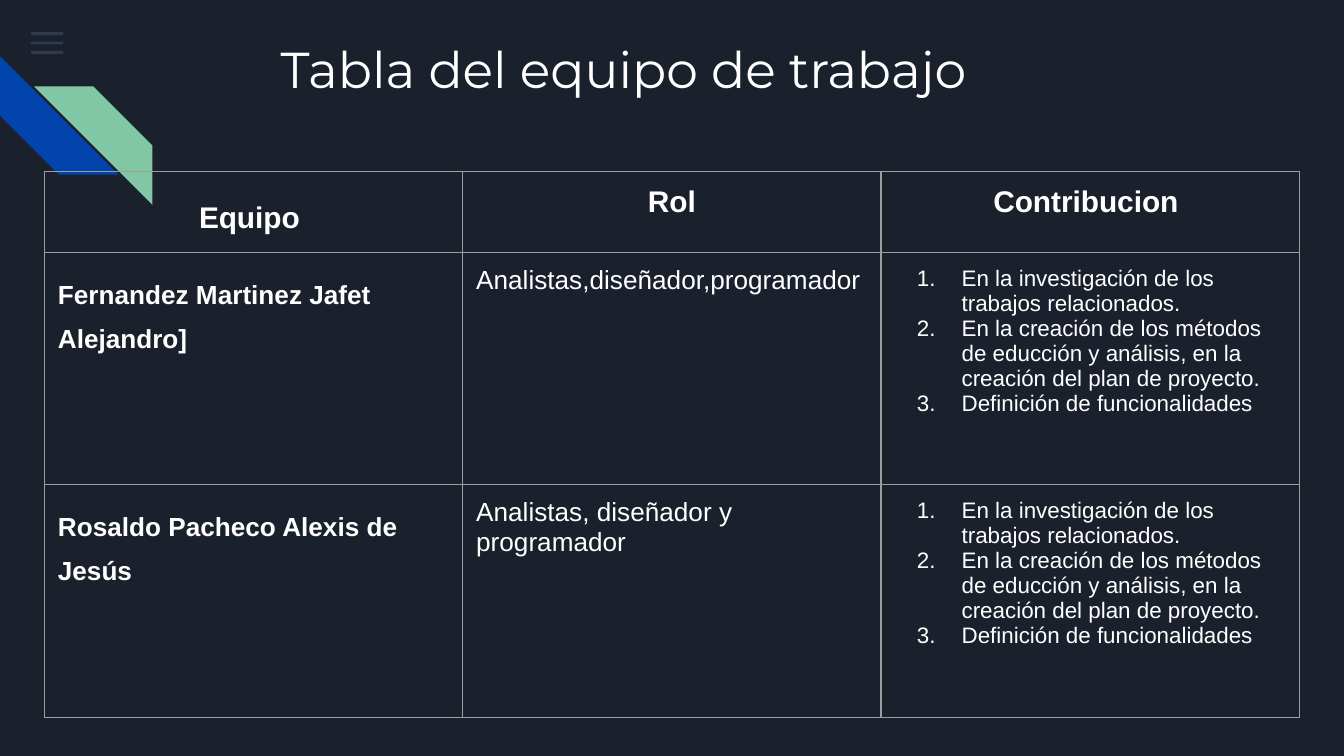
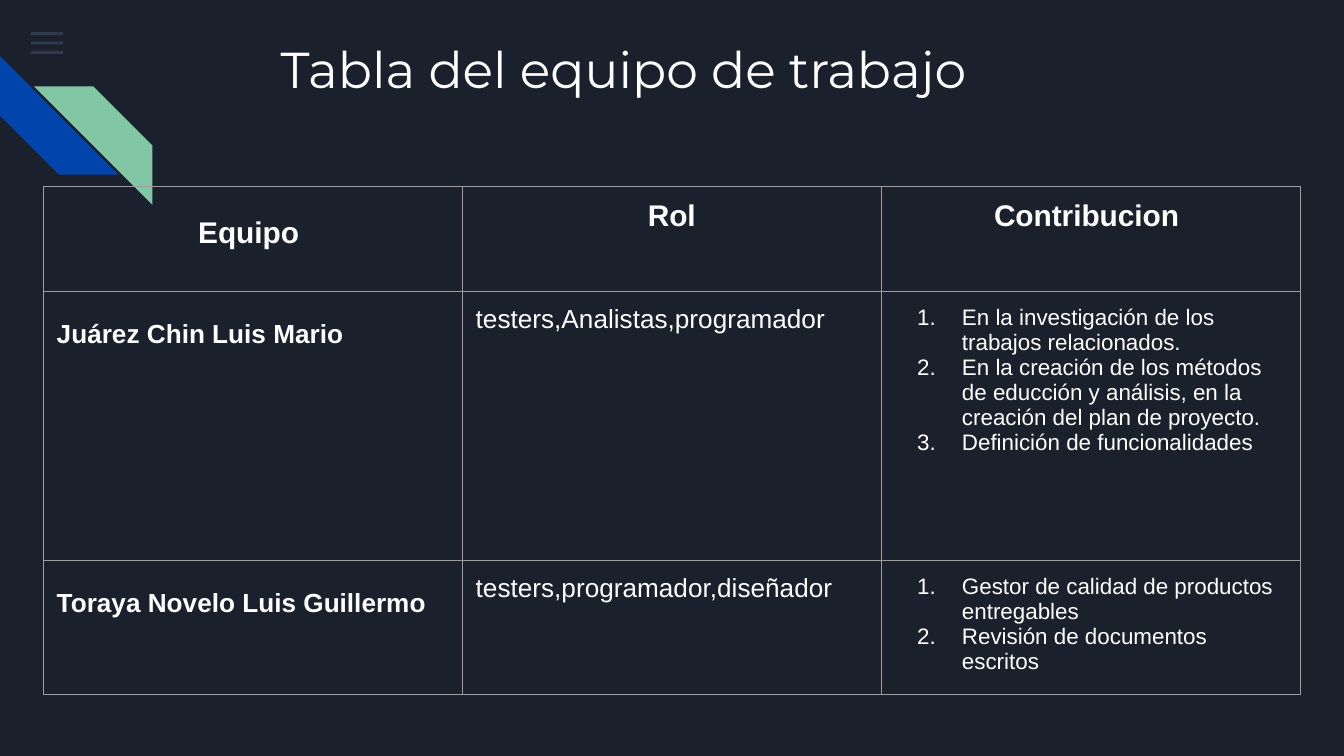
import pptx
import pptx.dml.color
import pptx.enum.shapes
import pptx.enum.text
import pptx.oxml
import pptx.oxml.ns
import pptx.util
from lxml import etree

Pt = pptx.util.Pt
KIND = pptx.enum.shapes.MSO_SHAPE
ALIGN = pptx.enum.text.PP_ALIGN
qn = pptx.oxml.ns.qn

COLORS = {"back": "1B212C", "text": "FFFFFF", "bar": "55688B",
          "blue": "0145AC", "green": "82C7A5", "rule": "9E9E9E"}
INSET = 7.2
TITLE = "Tabla del equipo de trabajo"
HEADS = ["Equipo ", "Rol", "Contribucion "]
TASKS = ["En la investigación de los trabajos relacionados.",
         "En la creación de los métodos de educción y análisis, "
         "en la creación del plan de proyecto.",
         "Definición de funcionalidades"]
CHECKS = ["Gestor de calidad de productos entregables",
          "Revisión de documentos escritos"]


def rgb(name):
    return pptx.dml.color.RGBColor.from_string(COLORS[name])


def add_fill(parent, name):
    """Append a solid fill element and return its colour element."""
    fill = etree.SubElement(parent, qn("a:solidFill"))
    return etree.SubElement(fill, qn("a:srgbClr"), val=COLORS[name])


class Deck:
    def __init__(self):
        self.file = pptx.Presentation()
        self.file.slide_width = Pt(720)
        self.file.slide_height = Pt(405)
        self.slide = None

    def start(self):
        """Add a slide with the shared background and corner art."""
        self.slide = self.file.slides.add_slide(self.file.slide_layouts[6])
        fill = self.slide.background.fill
        fill.solid()
        fill.fore_color.rgb = rgb("back")
        for row in range(3):
            bar = self.shape(KIND.RECTANGLE, 16.6, 17.3 + 5 * row, 17.3, 1.6, "bar")
            color = bar.fill._xPr.find(".//" + qn("a:srgbClr"))
            etree.SubElement(color, qn("a:alpha"), val="36000")
        self.stripe(0, 30.1, "blue").rotation = 270
        green = self.stripe(18.2, 46.3, "green")
        green._element.spPr.xfrm.set("flipH", "1")

    def shape(self, kind, x, y, w, h, color):
        item = self.slide.shapes.add_shape(kind, Pt(x), Pt(y), Pt(w), Pt(h))
        item.shadow.inherit = False
        item.fill.solid()
        item.fill.fore_color.rgb = rgb(color)
        item.line.fill.background()
        return item

    def stripe(self, x, y, color):
        item = self.shape(KIND.DIAGONAL_STRIPE, x, y, 63.5, 63.5, color)
        item.adjustments[0] = 0.5
        return item

    def style(self, para, size, bold=False, face="Arial"):
        para.font.name = face
        para.font.size = Pt(size)
        para.font.bold = bold
        para.font.color.rgb = rgb("text")

    def title(self, text):
        box = self.slide.shapes.add_textbox(Pt(143.3), Pt(13), Pt(396), Pt(68.4))
        frame = box.text_frame
        frame.word_wrap = True
        frame.margin_left = frame.margin_right = Pt(INSET)
        frame.margin_top = frame.margin_bottom = Pt(INSET)
        frame.text = text
        self.style(frame.paragraphs[0], 27, face="Montserrat")

    def number(self, para):
        """Make the paragraph an item of a numbered list."""
        props = para._p.get_or_add_pPr()
        props.set("marL", str(Pt(36)))
        props.set("indent", str(Pt(-24)))
        mark = etree.SubElement(props, qn("a:buClr"))
        etree.SubElement(mark, qn("a:srgbClr"), val=COLORS["text"])
        etree.SubElement(props, qn("a:buAutoNum"), type="arabicPeriod")

    def border(self, cell):
        props = cell._tc.get_or_add_tcPr()
        for spot, side in enumerate("LRTB"):
            line = etree.Element(qn("a:ln" + side), w=str(Pt(0.75)))
            add_fill(line, "rule")
            props.insert(spot, line)

    def cell(self, cell, row, col, value):
        cell.fill.background()
        self.border(cell)
        cell.margin_left = cell.margin_right = Pt(INSET)
        cell.margin_top = cell.margin_bottom = Pt(INSET)
        listed = isinstance(value, list)
        cell.text = "\n".join(value) if listed else value
        size = 16 if row == 0 else 12 if listed else 14
        for para in cell.text_frame.paragraphs:
            if listed:
                self.number(para)
            if row == 0:
                para.alignment = ALIGN.CENTER
            if col == 0:
                para.line_spacing = 1.5
            self.style(para, size, bold=row == 0 or col == 0)

    def table(self, x, y, width, heights, people):
        rows = [HEADS] + people
        grid = self.slide.shapes.add_table(
            len(rows), len(HEADS), Pt(x), Pt(y),
            Pt(width * len(HEADS)), Pt(sum(heights))).table
        grid.first_row = grid.horz_banding = False
        for col in grid.columns:
            col.width = Pt(width)
        for r, values in enumerate(rows):
            grid.rows[r].height = Pt(heights[r])
            for c, value in enumerate(values):
                self.cell(grid.cell(r, c), r, c, value)


def main():
    deck = Deck()
    deck.start()
    deck.title(TITLE)
    deck.table(23.8, 92, 224.1, [31, 124.5, 124.5], [
        ["Fernandez Martinez Jafet Alejandro]",
         "Analistas,diseñador,programador", TASKS],
        ["Rosaldo Pacheco Alexis de Jesús",
         "Analistas, diseñador y programador", TASKS]])
    deck.start()
    deck.table(23.2, 100, 224.5, [56.2, 144, 72], [
        ["Juárez Chin Luis Mario", "testers,Analistas,programador", TASKS],
        ["Toraya Novelo Luis Guillermo",
         "testers,programador,diseñador", CHECKS]])
    deck.title(TITLE)
    deck.file.save("out.pptx")


if __name__ == "__main__":
    main()
